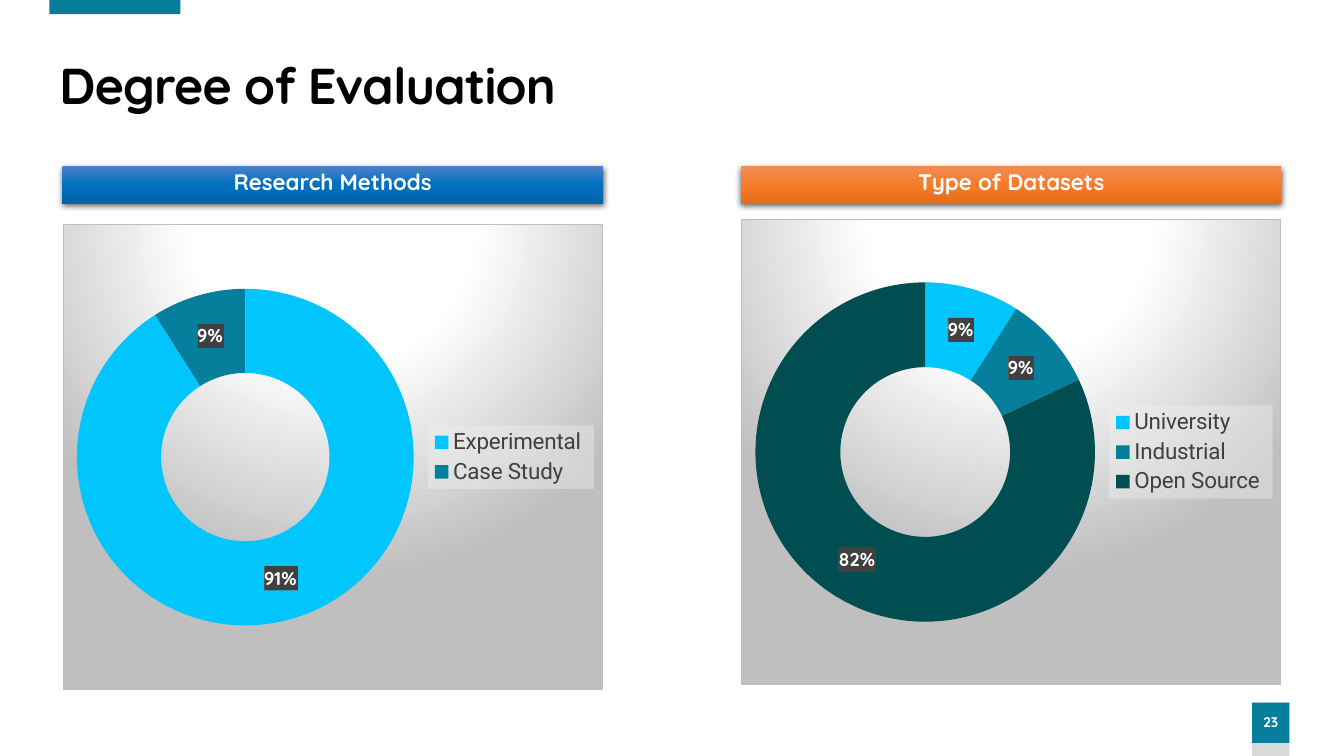
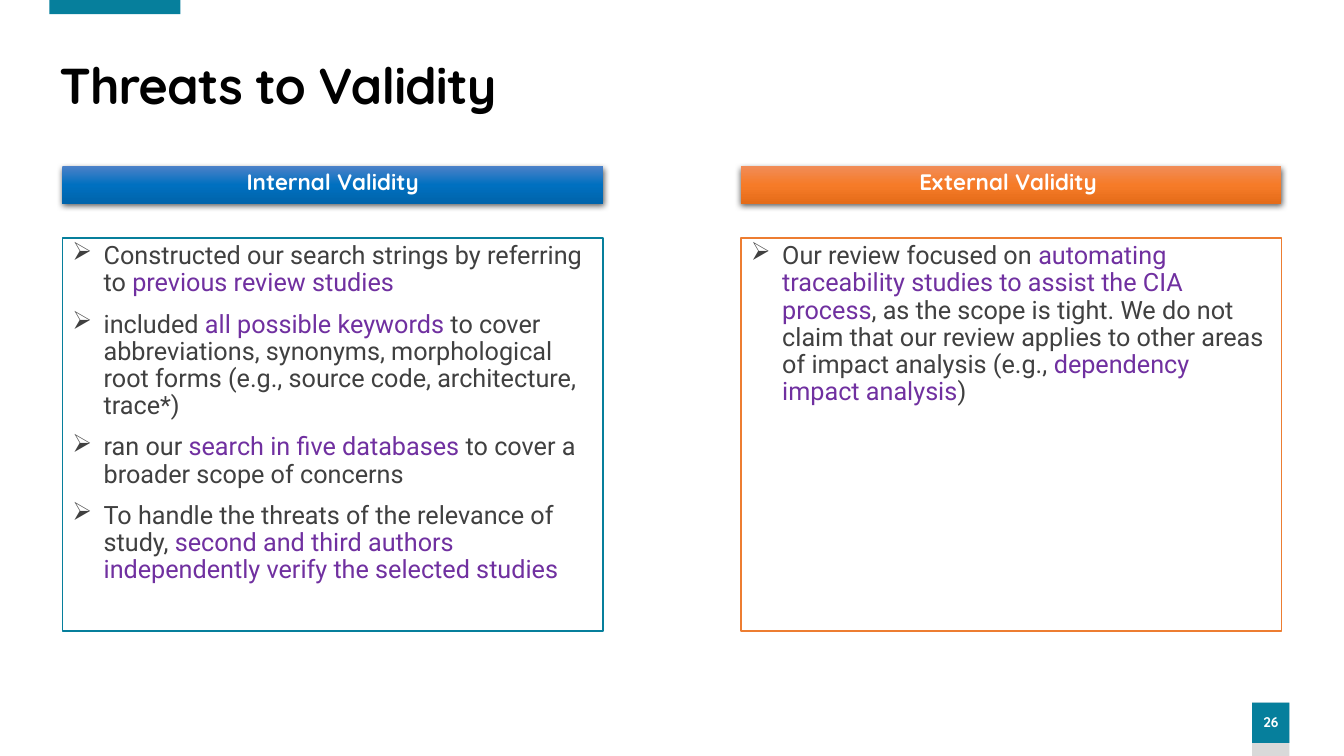
from pptx import Presentation
from pptx.chart.data import CategoryChartData
from pptx.dml.color import RGBColor
from pptx.enum.chart import XL_CHART_TYPE, XL_LEGEND_POSITION
from pptx.enum.shapes import MSO_SHAPE
from pptx.enum.text import MSO_ANCHOR, PP_ALIGN
from pptx.oxml import parse_xml
from pptx.oxml.ns import nsdecls, qn
from pptx.util import Inches, Pt

COLORS = {
    "teal": "067F9C", "cyan": "01C6FD", "deep": "014E52", "orange": "ED7D31",
    "purple": "7030A0", "text": "404040", "black": "000000", "white": "FFFFFF",
    "tab": "D9D9D9", "border": "BFBFBF",
}
HEADING, BODY = "Quicksand", "Roboto"
COLUMN_LEFTS = (0.62, 7.35)
COLUMN_WIDTH = 5.36
HEADER_GRADIENTS = (("4B81C8", "0070C0", "0064AB"), ("F18C57", "F67B28", "E56C19"))
PANEL_LINES = ("teal", "orange")

# Each page: title, number, column headings
PAGES = [
    ("Degree of Evaluation", "23", ("Research Methods", "Type of Datasets")),
    ("Threats to Validity", "26", ("Internal Validity", "External Validity ")),
]
# Each chart: top, categories, values
CHARTS = [
    (2.22, ("Experimental ", "Case Study "), (91, 9)),
    (2.17, ("University ", "Industrial ", "Open Source "), (9, 9, 82)),
]
# Text between bars is emphasised
THREATS = [
    [
        "Constructed our search strings by referring to |previous review studies|",
        "included |all possible keywords| to cover abbreviations, synonyms, "
        "morphological root forms (e.g., source code, architecture, trace*)",
        "ran our |search in five databases |to cover a broader scope of concerns",
        "To handle the threats of the relevance of study, |second and third authors "
        "independently verify the selected studies|",
    ],
    [
        "Our review focused on |automating traceability studies to assist the CIA "
        "process|, as the scope is tight. We do not claim that our review applies to "
        "other areas of impact analysis (e.g., |dependency impact analysis|)",
    ],
]


def add_box(page, left, top, width, height, fill=None, line=None):
    box = page.shapes.add_shape(MSO_SHAPE.RECTANGLE, Inches(left), Inches(top),
                                Inches(width), Inches(height))
    box.shadow.inherit = False
    if fill:
        box.fill.solid()
        box.fill.fore_color.rgb = RGBColor.from_string(COLORS[fill])
    if line:
        box.line.color.rgb = RGBColor.from_string(COLORS[line])
        box.line.width = Pt(1)
    else:
        box.line.fill.background()
    box.text_frame.word_wrap = True
    box.text_frame.vertical_anchor = MSO_ANCHOR.TOP
    return box


def style_font(font, name, size, color, bold=False):
    font.name, font.size, font.bold = name, Pt(size), bold
    font.color.rgb = RGBColor.from_string(COLORS[color])


deck = Presentation()
deck.slide_width, deck.slide_height = Inches(13.33), Inches(7.5)
pages = []

# Shared frame: accent band, page number, title and column headers
for title, number, headings in PAGES:
    page = deck.slides.add_slide(deck.slide_layouts[6])
    pages.append(page)
    add_box(page, 12.42, 6.97, 0.37, 0.53, "tab")
    number_box = add_box(page, 12.42, 6.97, 0.37, 0.4, "teal")
    add_box(page, 0.49, 0, 1.3, 0.14, "teal")
    frame = number_box.text_frame
    frame.margin_left = frame.margin_right = 0
    frame.vertical_anchor = MSO_ANCHOR.MIDDLE
    title_box = page.shapes.add_textbox(Inches(0.49), Inches(0.55),
                                        Inches(12.22), Inches(0.65))
    title_box.text_frame.word_wrap = True
    title_box.text_frame.vertical_anchor = MSO_ANCHOR.MIDDLE
    title_box.text_frame.text = title
    para = title_box.text_frame.paragraphs[0]
    para.line_spacing = 0.9
    span = para.runs[0]
    style_font(span.font, HEADING, 36, "black", True)
    span.font._element.set("spc", "-60")

    labels = [(number_box, number, 10)]
    for left, heading, shades in zip(COLUMN_LEFTS, headings, HEADER_GRADIENTS):
        header = add_box(page, left, 1.65, COLUMN_WIDTH, 0.37)
        stops = "".join(f'<a:gs pos="{i * 50000}"><a:srgbClr val="{shade}"/></a:gs>'
                        for i, shade in enumerate(shades))
        properties = header._element.spPr
        properties.insert(2, parse_xml(
            f'<a:gradFill {nsdecls("a")} rotWithShape="1"><a:gsLst>{stops}</a:gsLst>'
            '<a:lin ang="5400000" scaled="0"/></a:gradFill>'))
        properties.find(qn("a:effectLst")).append(parse_xml(
            f'<a:outerShdw {nsdecls("a")} blurRad="{Pt(4.5)}" dist="{Pt(1.5)}" '
            'dir="5400000" algn="ctr" rotWithShape="0"><a:srgbClr val="000000">'
            '<a:alpha val="63000"/></a:srgbClr></a:outerShdw>'))
        labels.append((header, heading, 16))
    for box, text, size in labels:
        box.text_frame.text = text
        para = box.text_frame.paragraphs[0]
        para.alignment = PP_ALIGN.CENTER
        para.line_spacing, para.space_before = 0.9, Pt(10)
        style_font(para.runs[0].font, HEADING, size, "white", True)

# Evaluation: doughnut charts
for left, (top, categories, values) in zip(COLUMN_LEFTS, CHARTS):
    data = CategoryChartData()
    data.categories = categories
    data.add_series("Series 1", values)
    chart = pages[0].shapes.add_chart(
        XL_CHART_TYPE.DOUGHNUT, Inches(left), Inches(top),
        Inches(COLUMN_WIDTH), Inches(4.63), data).chart
    style_font(chart.font, HEADING, 10, "black")
    chart.has_title = False
    chart.has_legend = True
    chart.legend.position = XL_LEGEND_POSITION.RIGHT
    chart.legend.include_in_layout = False
    style_font(chart.legend.font, BODY, 16, "text")
    chart.plots[0].vary_by_categories = True
    series = chart.plots[0].series[0]
    for i, color in zip(range(len(values)), ("cyan", "teal", "deep")):
        point = series.points[i].format
        point.fill.solid()
        point.fill.fore_color.rgb = RGBColor.from_string(COLORS[color])
        point.line.fill.background()
    percents = series.data_labels
    percents.show_percentage, percents.show_value = True, False
    percents.number_format, percents.number_format_is_linked = "0%", False
    style_font(percents.font, HEADING, 13.3, "white", True)

    # Backgrounds of chart, legend and percent labels
    chart.element.find(qn("c:chart")).addnext(parse_xml(
        f'<c:spPr {nsdecls("c", "a")}><a:gradFill><a:gsLst>'
        '<a:gs pos="0"><a:srgbClr val="FFFFFF"/></a:gs>'
        '<a:gs pos="39000"><a:srgbClr val="FFFFFF"/></a:gs>'
        '<a:gs pos="100000"><a:srgbClr val="BFBFBF"/></a:gs></a:gsLst>'
        '<a:path path="circle"><a:fillToRect l="50000" t="-80000" r="50000" b="180000"/>'
        f'</a:path></a:gradFill><a:ln w="{Pt(0.75)}"><a:solidFill>'
        f'<a:srgbClr val="{COLORS["border"]}"/></a:solidFill></a:ln></c:spPr>'))
    legend_fill = ('<a:solidFill><a:srgbClr val="F2F2F2"><a:alpha val="39000"/>'
                   '</a:srgbClr></a:solidFill>')
    label_fill = ('<a:pattFill prst="dkVert"><a:fgClr><a:srgbClr val="404040"/></a:fgClr>'
                  '<a:bgClr><a:srgbClr val="595959"/></a:bgClr></a:pattFill>')
    for part, fill in ((chart.legend._element, legend_fill),
                       (percents._element, label_fill)):
        part.find(qn("c:txPr")).addprevious(parse_xml(
            f'<c:spPr {nsdecls("c", "a")}>{fill}<a:ln><a:noFill/></a:ln></c:spPr>'))

# Threats: bulleted panels
for left, line, bullets in zip(COLUMN_LEFTS, PANEL_LINES, THREATS):
    panel = add_box(pages[1], left, 2.36, COLUMN_WIDTH, 3.9, "white", line)
    frame = panel.text_frame
    for i, bullet in enumerate(bullets):
        para = frame.add_paragraph() if i else frame.paragraphs[0]
        para.alignment = PP_ALIGN.LEFT
        para.line_spacing, para.space_before = 0.9, Pt(10)
        properties = para._element.get_or_add_pPr()
        properties.set("marL", str(Inches(0.31)))
        properties.set("indent", str(-Inches(0.31)))
        properties.append(parse_xml(f'<a:buChar {nsdecls("a")} char="➢"/>'))
        for j, text in enumerate(bullet.split("|")):
            if text:
                span = para.add_run()
                span.text = text
                style_font(span.font, BODY, 18, "purple" if j % 2 else "text")

deck.save("out.pptx")
